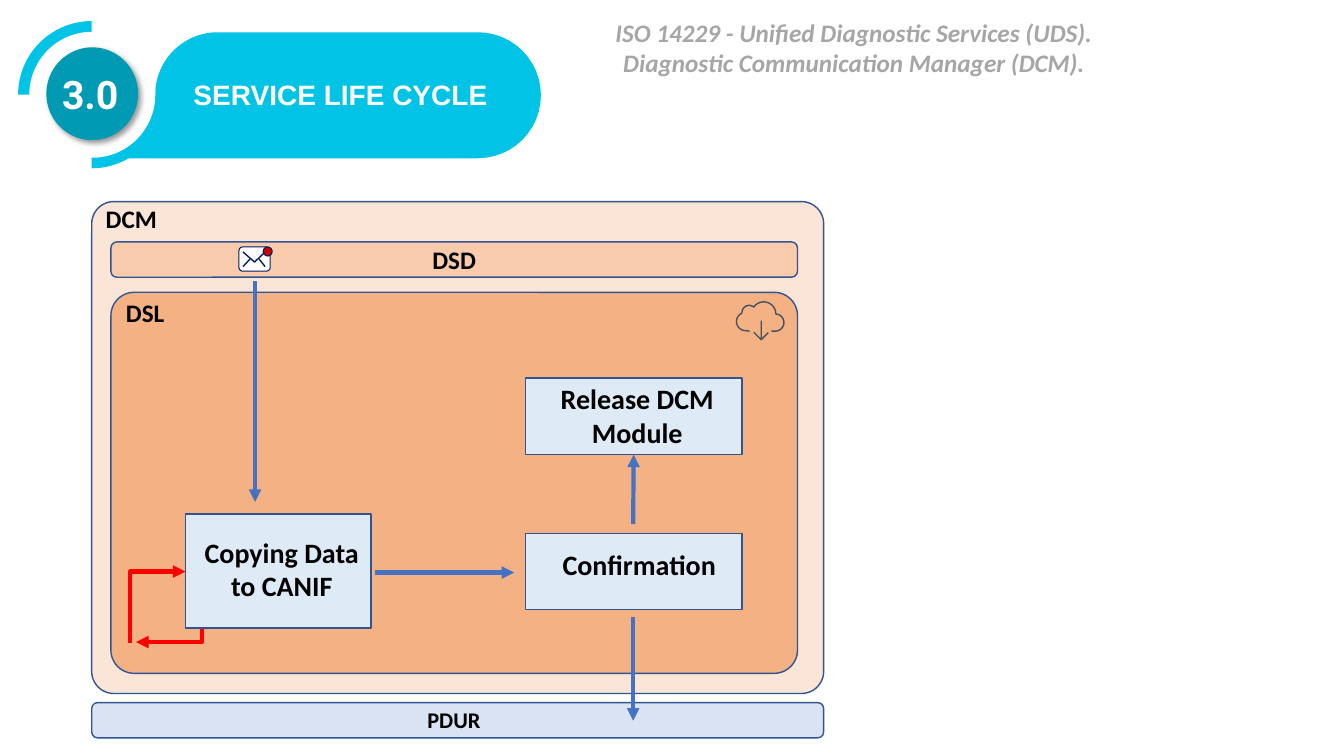
import math
from lxml import etree
from pptx import Presentation, util as u
from pptx.dml.color import RGBColor
from pptx.enum import shapes, text
from pptx.oxml import parse_xml
from pptx.oxml.ns import nsdecls, qn

CELL = u.Inches(0.01)  # all lengths are counted in cells of this grid
CYAN, TEAL, WHITE, BLACK = "00C3E6", "009AB4", "FFFFFF", "000000"
NAVY, BORDER, SLATE, GREY = "002060", "325491", "435161", "A6A6A6"
BLUE, RED, PALE_BLUE = "4472C4", "FF0000", "DEEBF7"
SHAPE, ALIGN = shapes.MSO_SHAPE, text.PP_ALIGN


def paint(fill, colour):
    """Set a solid colour, or none, on the fill of a shape, line or font."""
    if colour:
        fill.solid()
        fill.fore_color.rgb = RGBColor.from_string(colour)
    else:
        fill.background()


def arc(x, y, radius, start, end, steps=24):
    """Points on a circle, angles in degrees clockwise from the right."""
    angles = [math.radians(start + (end - start) * i / steps) for i in range(steps + 1)]
    return [(x + radius * math.cos(a), y + radius * math.sin(a)) for a in angles]


presentation = Presentation()
presentation.slide_width, presentation.slide_height = 1333 * CELL, 750 * CELL
slide = presentation.slides.add_slide(presentation.slide_layouts[6])
canvas = slide.shapes

# Outlines: title banner, ring quarters, envelope flap, cloud and its arrow
banner = (arc(474, 94.5, 62.5, -90, 90) + [(91, 157)]
          + arc(91, 94, 62, 90, 0) + arc(216, 94, 62, 180, 270))
cloud = (arc(740 - 0.5, 319, 9, 90, 245) + arc(743, 310, 7, 180, 310)
         + arc(757.5, 311.5, 12, 215, 360) + arc(769, 320, 8.5, -80, 90)
         + [(765, 328.5)])
banner_outlines = [
    (banner, CYAN, None),
    ([(91, 94)] + arc(91, 94, 73, 180, 270), CYAN, None),
    ([(91, 94)] + arc(91, 94, 73, 0, 90), CYAN, None),
]
icon_outlines = [
    ([(241, 250), (252.5, 260), (262, 251)], None, NAVY),
    ([(241, 264.5), (248, 257)], None, NAVY),
    ([(257, 257), (263, 264.5)], None, NAVY),
    ([(743.5, 328.5)] + cloud, None, SLATE),
    ([(755, 318), (755, 337), (748, 330), (755, 337), (762, 330)], None, SLATE),
]

# Preset shapes: name, kind, place, corner, fill, line, line width
banner_shapes = [
    ("ring gap", SHAPE.OVAL, (29, 31.5, 125, 125), None, WHITE, None, 0),
    ("number disc", SHAPE.OVAL, (46, 47, 91, 92), None, TEAL, None, 0),
]
diagram_shapes = [
    ("DCM", SHAPE.ROUNDED_RECTANGLE, (91, 200, 726, 488), 0.045, "FBE5D6", BORDER, 1),
    ("DSD", SHAPE.ROUNDED_RECTANGLE, (110, 240, 681, 35), None, "F8CBAD", BORDER, 1),
    ("PDUR", SHAPE.ROUNDED_RECTANGLE, (91, 697, 726, 35), None, "DAE3F3", BORDER, 1),
    ("DSL", SHAPE.ROUNDED_RECTANGLE, (110, 290, 681, 378), 0.061, "F4B183", BORDER, 1),
    ("envelope", SHAPE.ROUNDED_RECTANGLE, (237, 245, 31, 24), 0.15, WHITE, NAVY, 0.75),
    ("badge", SHAPE.OVAL, (261, 245, 9, 9), None, "CC0000", NAVY, 0.75),
]
step_shapes = [
    ("Copying", SHAPE.RECTANGLE, (184, 510, 184, 113), None, PALE_BLUE, BORDER, 1),
    ("Confirmation", SHAPE.RECTANGLE, (521, 529, 215, 76), None, PALE_BLUE, BORDER, 1),
    ("Release", SHAPE.RECTANGLE, (521, 375, 215, 76), None, PALE_BLUE, BORDER, 1),
]

# Connectors: kind, start, end, colour
STRAIGHT, ELBOW = shapes.MSO_CONNECTOR.STRAIGHT, shapes.MSO_CONNECTOR.ELBOW
arrows = {
    "loop out": (ELBOW, (219, 612), (135, 637), RED),
    "loop back": (ELBOW, (192, 630), (121, 575), RED),
    "request": (STRAIGHT, (253, 279), (253, 498), BLUE),
    "copied": (STRAIGHT, (372, 568), (510, 568), BLUE),
    "to PDUR": (STRAIGHT, (628, 612), (628, 715), BLUE),
    "to release": (STRAIGHT, (628, 520), (628, 452), BLUE),
}

# Draw from back to front
placed = {}
layers = [banner_outlines, banner_shapes, diagram_shapes, icon_outlines, arrows, step_shapes]
for layer in layers:
    for item in layer:
        if layer is arrows:
            kind, start, end, colour = arrows[item]
            connector = canvas.add_connector(kind, *(n * CELL for n in start + end))
            paint(connector.line.fill, colour)
            connector.line.width = u.Pt(3)
            properties = connector.element.spPr
            etree.SubElement(connector.line._get_or_add_ln(), qn("a:tailEnd"), type="triangle")
            etree.SubElement(properties, qn("a:effectLst"))
            placed[item] = connector
            continue
        if len(item) == 3:
            points, fill, line = item
            width = 1
            points = [(x * CELL, y * CELL) for x, y in points]
            builder = canvas.build_freeform(*points[0])
            builder.add_line_segments(points[1:], close=fill is not None)
            shape = builder.convert_to_shape()
        else:
            name, kind, place, corner, fill, line, width = item
            shape = canvas.add_shape(kind, *(round(n * CELL) for n in place))
            if corner:
                shape.adjustments[0] = corner
            placed[name] = shape
        shape.shadow.inherit = False
        paint(shape.fill, fill)
        paint(shape.line.fill, line)
        if line:
            shape.line.width = u.Pt(width)

# Bends of the red loop, and the joined arrow
guides = placed["loop out"].element.spPr.find(qn("a:prstGeom")).find(qn("a:avLst"))
etree.SubElement(guides, qn("a:gd"), name="adj1", fmla="val 22400")
back = placed["loop back"].element.spPr
back.find(qn("a:prstGeom")).set("prst", "bentConnector2")
back.find(qn("a:xfrm")).set("rot", str(90 * 60000))
placed["to release"].end_connect(placed["Release"], 2)

# Shadow under the number disc
disc = placed["number disc"].element.spPr
disc.remove(disc.find(qn("a:effectLst")))
disc.append(parse_xml(
    f'<a:effectLst {nsdecls("a")}><a:outerShdw blurRad="{u.Pt(4)}" dist="{u.Pt(3)}" '
    'dir="2700000" algn="tl" rotWithShape="0"><a:srgbClr val="000000">'
    '<a:alpha val="40000"/></a:srgbClr></a:outerShdw></a:effectLst>'))

# Labels: wording, place (None: inside its bar), size, font, colour, centred
labels = [
    ("SERVICE LIFE CYCLE", (182, 72, 496, 44), 20, "Arial", WHITE, False),
    ("3.0", (58, 70, 63, 47), 28, "Roboto", WHITE, True),
    ("ISO 14229 - Unified Diagnostic Services (UDS).\vDiagnostic Communication Manager (DCM).",
     (565, 12, 564, 71), 18, "Calibri", GREY, True),
    ("DCM", (95, 197, 116, 40), 18, "Calibri", BLACK, False),
    ("DSD", None, 18, "Calibri", BLACK, True),
    ("DSL", (115, 290, 95, 40), 18, "Calibri", BLACK, False),
    ("PDUR", (414, 696, 74, 37), 16, "Calibri", BLACK, False),
    ("Copying Data to CANIF", (184, 526, 191, 77), 20, "Calibri", BLACK, True),
    ("Confirmation", (543, 538, 182, 29), 20, "Calibri", BLACK, True),
    ("Release DCM Module", (541, 374, 182, 77), 20, "Calibri", BLACK, True),
]
for wording, place, size, font_name, colour, centred in labels:
    if place:
        holder = canvas.add_textbox(*(n * CELL for n in place))
    else:
        holder = placed[wording]
    frame = holder.text_frame
    frame.text = wording
    frame.word_wrap = True
    in_middle = place is None or colour == WHITE
    frame.vertical_anchor = text.MSO_ANCHOR.MIDDLE if in_middle else text.MSO_ANCHOR.TOP
    if place:
        frame.auto_size = text.MSO_AUTO_SIZE.SHAPE_TO_FIT_TEXT
    paragraph = frame.paragraphs[0]
    paragraph.alignment = ALIGN.CENTER if centred else ALIGN.LEFT
    if wording == "3.0":
        frame.margin_left = frame.margin_right = frame.margin_top = frame.margin_bottom = 0
        paragraph.space_after = u.Pt(12)
    for run in paragraph.runs:
        run.font.name, run.font.size, run.font.bold = font_name, u.Pt(size), True
        run.font.italic = colour == GREY
        paint(run.font.fill, colour)

presentation.save("out.pptx")
